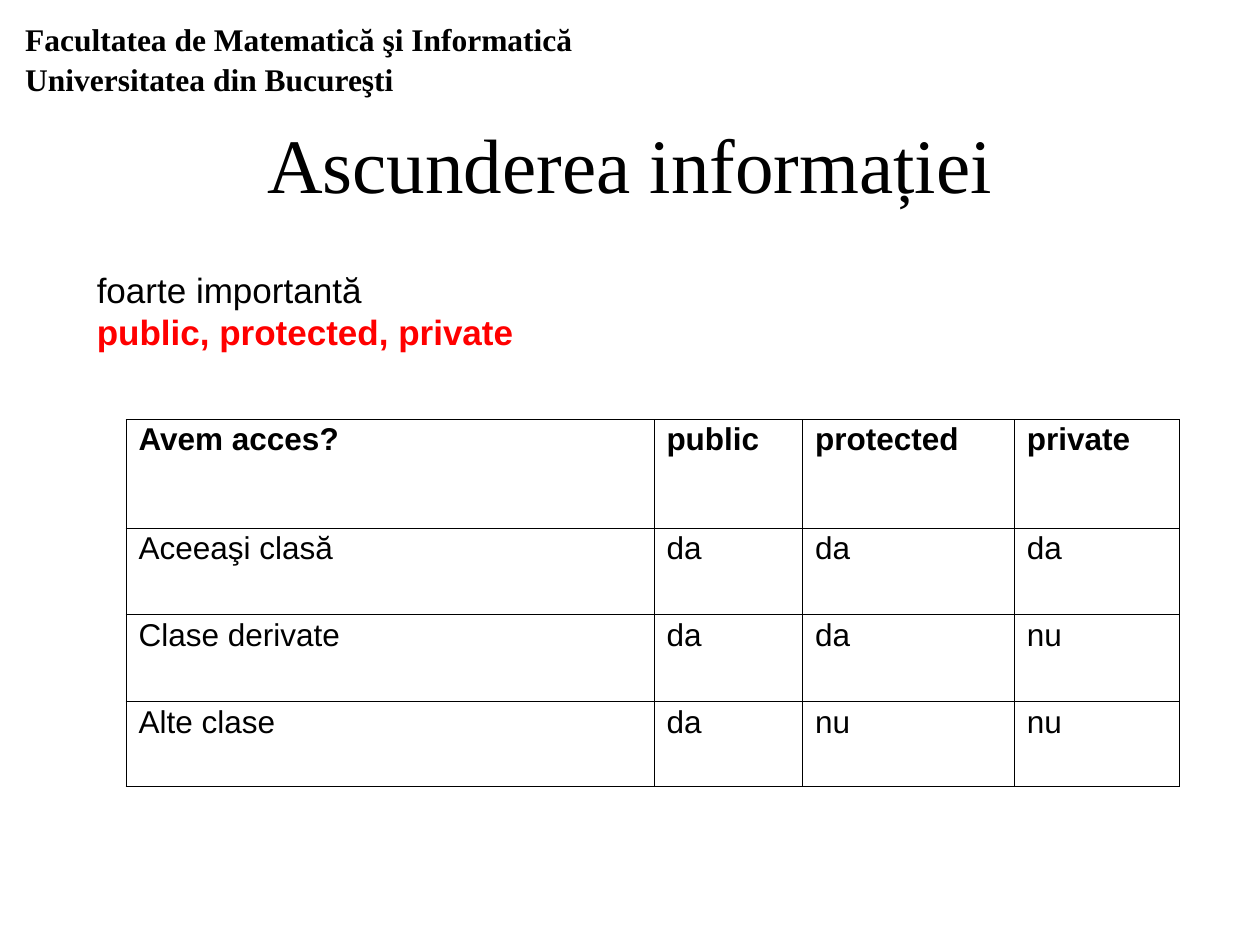
"""Build the slide about information hiding and access levels."""
from lxml import etree
from pptx import Presentation
from pptx import util as u
from pptx.dml.color import RGBColor
from pptx.enum import text
from pptx.oxml import ns

BLACK = RGBColor(0x00, 0x00, 0x00)
RED = RGBColor(0xFF, 0x00, 0x00)
SERIF, SANS = "Times New Roman", "Arial"

ACCESS = [
    ["Avem acces?", "public", "protected", "private"],
    ["Aceeaşi clasă", "da", "da", "da"],
    ["Clase derivate", "da", "da", "nu"],
    ["Alte clase", "da", "nu", "nu"],
]
COLUMN_WIDTHS = [4.19, 1.18, 1.68, 1.31]
ROW_HEIGHTS = [0.86, 0.69, 0.69, 0.67]


def apply(target, values):
    """Set each named attribute on the target."""
    for name, value in values.items():
        setattr(target, name, value)


def write(paragraph, words, name, size, bold=False, color=BLACK, spacing=1.0,
          alignment=text.PP_ALIGN.LEFT):
    """Put one formatted run in a paragraph."""
    apply(paragraph, {"alignment": alignment, "line_spacing": spacing})
    run = paragraph.add_run()
    run.text = words
    apply(run.font, {"name": name, "size": u.Pt(size), "bold": bold})
    run.font.color.rgb = color


def place(box, left, top, width, height):
    """Position a shape by lengths in inches."""
    apply(box, {"left": u.Inches(left), "top": u.Inches(top),
                "width": u.Inches(width), "height": u.Inches(height)})


def add_title(slide, words):
    """Fill the title placeholder."""
    title = slide.shapes.title
    place(title, 0.75, 0.67, 8.5, 1.25)
    apply(title.text_frame, {"vertical_anchor": text.MSO_ANCHOR.MIDDLE, "word_wrap": True})
    write(title.text_frame.paragraphs[0], words, SERIF, 44, alignment=text.PP_ALIGN.CENTER)


def add_text(slide, at, insets, lines):
    """Add a wrapping text box with one paragraph per line."""
    frame = slide.shapes.add_textbox(*map(u.Inches, at)).text_frame
    across, down = map(u.Inches, insets)
    apply(frame, {"word_wrap": True, "margin_left": across, "margin_right": across,
                  "margin_top": down, "margin_bottom": down})
    for index, line in enumerate(lines):
        paragraph = frame.add_paragraph() if index else frame.paragraphs[0]
        write(paragraph, **line)


def outline(cell):
    """Draw a thin black border on all four sides of a cell."""
    properties = cell._tc.get_or_add_tcPr()
    for position, side in enumerate(("lnL", "lnR", "lnT", "lnB")):
        line = etree.Element(ns.qn(f"a:{side}"), w=str(u.Pt(0.45)))
        fill = etree.SubElement(line, ns.qn("a:solidFill"))
        etree.SubElement(fill, ns.qn("a:srgbClr"), val=str(BLACK))
        properties.insert(position, line)


def add_access_table(slide):
    """Add the table of access by class relation."""
    frame = slide.shapes.add_table(
        len(ROW_HEIGHTS), len(COLUMN_WIDTHS), u.Inches(1), u.Inches(3.33),
        u.Inches(sum(COLUMN_WIDTHS)), u.Inches(sum(ROW_HEIGHTS)))
    table = frame.table
    apply(table, {"first_row": False, "horz_banding": False})
    for column, width in zip(table.columns, COLUMN_WIDTHS):
        column.width = u.Inches(width)
    for row, height, entries in zip(table.rows, ROW_HEIGHTS, ACCESS):
        row.height = u.Inches(height)
        for cell, words in zip(row.cells, entries):
            cell.fill.background()
            outline(cell)
            write(cell.text_frame.paragraphs[0], words, SANS, 18,
                  bold=entries is ACCESS[0], spacing=0.89)


def main():
    """Assemble and save the slide."""
    deck = Presentation()
    apply(deck, {"slide_width": u.Inches(10), "slide_height": u.Inches(7.5)})
    slide = deck.slides.add_slide(deck.slide_layouts[5])
    add_title(slide, "Ascunderea informației")
    add_text(slide, (0.09, 0.09, 5.51, 0.72), (0.11, 0.06), [
        {"words": "Facultatea de Matematică şi Informatică Universitatea din Bucureşti",
         "name": SERIF, "size": 18, "bold": True, "spacing": 1.04}])
    add_text(slide, (0.67, 2.08, 5.6, 1), (0.1, 0.05), [
        {"words": "foarte importantă", "name": SANS, "size": 20},
        {"words": "public, protected, private", "name": SANS, "size": 20,
         "bold": True, "color": RED}])
    add_access_table(slide)
    deck.save("out.pptx")


if __name__ == "__main__":
    main()
